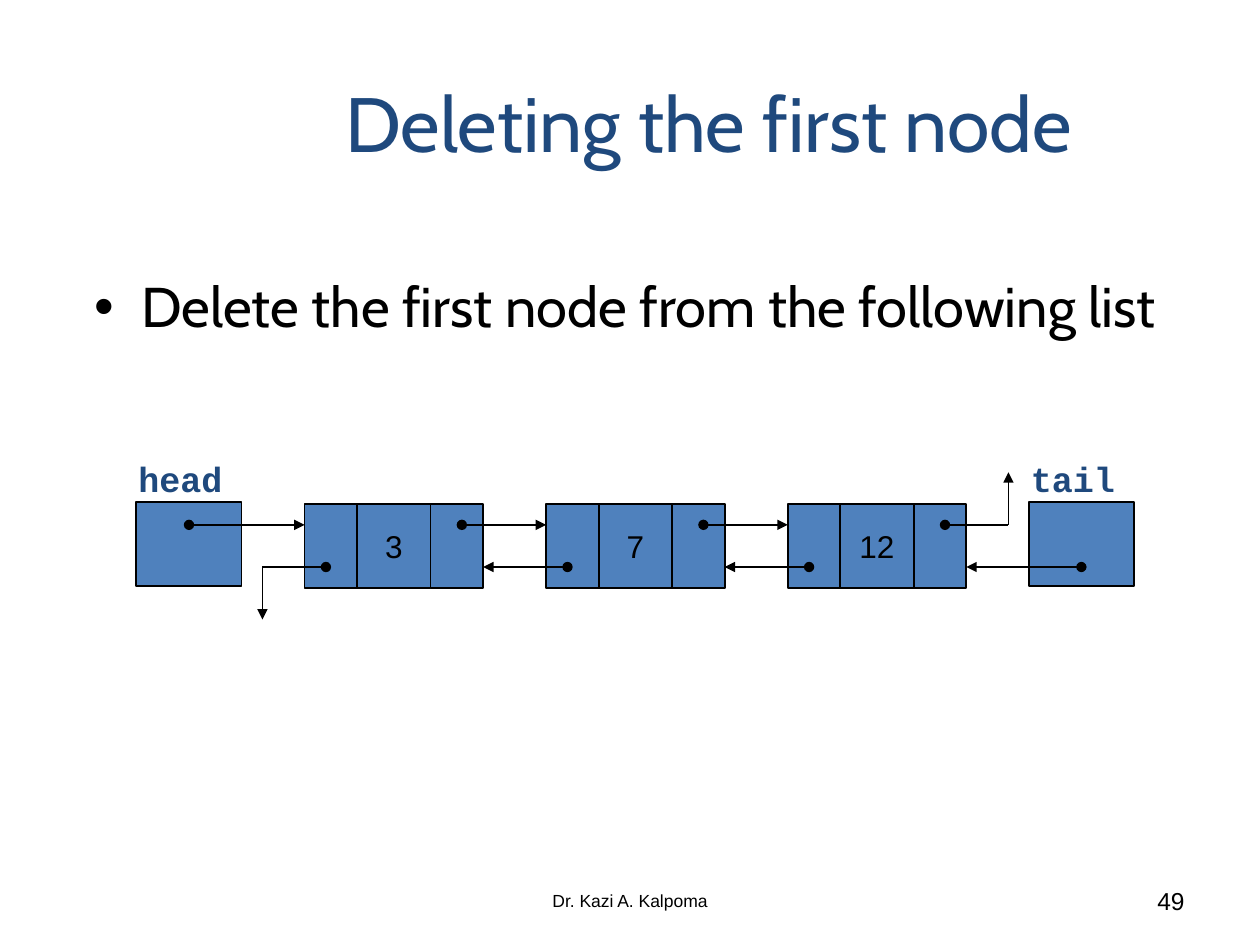
"""Slide showing a doubly linked list before its first node is deleted."""
from lxml.etree import SubElement
from pptx import Presentation
from pptx.dml.color import RGBColor
from pptx.enum.shapes import MSO_CONNECTOR, MSO_SHAPE
from pptx.enum.text import MSO_ANCHOR, PP_ALIGN
from pptx.oxml.ns import qn
from pptx.util import Cm, Pt

BLUE, NAVY, BLACK = "4F81BD", "1F497D", "000000"
ARIAL = {"name": "Arial"}
CABIN = {"name": "Cabin"}
COURIER = {"name": "Courier New", "bold": True, "size": Pt(20)}
MIDDLE = {"vertical_anchor": MSO_ANCHOR.MIDDLE}

TEXTS = [
    ("Deleting the first node", (5.08, 0.89, 18.42, 3.12), NAVY,
     {**CABIN, "size": Pt(44)}, PP_ALIGN.CENTER, MIDDLE),
    ("head", (2.54, 9.1, 2.96, 1.12), NAVY, COURIER, PP_ALIGN.LEFT, {}),
    ("tail", (20.53, 9.1, 2.96, 1.12), NAVY, COURIER, PP_ALIGN.LEFT, {}),
    ("Dr. Kazi A. Kalpoma", (8.68, 17.65, 8.04, 1.02), BLACK,
     {**ARIAL, "size": Pt(10)}, PP_ALIGN.CENTER, MIDDLE),
    ("49", (18.2, 17.65, 5.93, 1.02), BLACK,
     {**ARIAL, "size": Pt(14)}, PP_ALIGN.RIGHT, MIDDLE),
]
BULLET = ("Delete the first node from the following list", (1.9, 5.51, 22.66, 2.34))
NODES = ["3", "7", "12"]
CELLS = [1.06, 1.48, 1.06]
POINTERS = [2.75, 20.74]
POINTER_W, POINTER_TOP = 2.12, 10.12
NODE_LEFT, NODE_TOP, NODE_H = 6.14, 10.16, 1.69
NODE_W, GAP = sum(CELLS), 1.27
NEXT_Y, PREV_Y = 10.58, 11.43
DOT, STUB, DROP = 0.43, 0.85, 1.06


def rgb(value):
    return RGBColor.from_string(value)


def apply(obj, values):
    for name, value in values.items():
        setattr(obj, name, value)


def write(tf, text, color, font, align):
    p = tf.paragraphs[0]
    p.alignment = align
    r = p.add_run()
    r.text = text
    apply(r.font, font)
    r.font.color.rgb = rgb(color)
    return p


def add_text(s, text, box, color, font, align, frame):
    tf = s.shapes.add_textbox(*map(Cm, box)).text_frame
    apply(tf, {"word_wrap": True, **frame})
    return write(tf, text, color, font, align)


def add_bullet(s, text, box):
    p = add_text(s, text, box, BLACK, {**CABIN, "size": Pt(32)}, PP_ALIGN.LEFT,
                 {"margin_left": 0, "margin_right": 0})
    p.line_spacing = 0.9
    pPr = p._p.get_or_add_pPr()
    pPr.set("marL", str(Cm(0.95)))
    pPr.set("indent", str(Cm(-0.95)))
    SubElement(SubElement(pPr, qn("a:buClr")), qn("a:srgbClr"), val=BLACK)
    SubElement(pPr, qn("a:buFont"), typeface="Arial")
    SubElement(pPr, qn("a:buChar"), char="•")


def add_box(s, left, top, width, text=""):
    sp = s.shapes.add_shape(MSO_SHAPE.RECTANGLE, *map(Cm, (left, top, width, NODE_H)))
    sp.shadow.inherit = False
    sp.fill.solid()
    sp.fill.fore_color.rgb = rgb(BLUE)
    sp.line.color.rgb = rgb(BLACK)
    sp.line.width = Pt(1)
    if text:
        apply(sp.text_frame, {"word_wrap": False, **MIDDLE})
        write(sp.text_frame, text, BLACK, {**ARIAL, "size": Pt(18)}, PP_ALIGN.CENTER)


def add_link(s, start, end, dot=True, arrow=True):
    cxn = s.shapes.add_connector(MSO_CONNECTOR.STRAIGHT, *map(Cm, start + end))
    cxn.line.color.rgb = rgb(BLACK)
    cxn.line.width = Pt(1)
    ln = cxn.line._get_or_add_ln()
    if dot:
        SubElement(ln, qn("a:headEnd"), type="oval")
    if arrow:
        SubElement(ln, qn("a:tailEnd"), type="triangle")
    SubElement(cxn._element.spPr, qn("a:effectLst"))


def add_list(s):
    lefts = [NODE_LEFT + i * (NODE_W + GAP) for i in range(len(NODES))]
    rights = [left + NODE_W for left in lefts]
    for left in POINTERS:
        add_box(s, left, POINTER_TOP, POINTER_W)
    for left, value in zip(lefts, NODES):
        for i, width in enumerate(CELLS):
            add_box(s, left + sum(CELLS[:i]), NODE_TOP, width, value if i == 1 else "")

    head, tail = (left + POINTER_W / 2 for left in POINTERS)
    for start, end in zip([head] + [x - DOT for x in rights], lefts):
        add_link(s, (start, NEXT_Y), (end, NEXT_Y))
    for start, end in zip([x + DOT for x in lefts[1:]] + [tail], rights):
        add_link(s, (start, PREV_Y), (end, PREV_Y))

    first, last = lefts[0], rights[-1]
    for dot, bend, y, end_y in ((first + DOT, first - STUB, PREV_Y, PREV_Y + DROP),
                                (last - DOT, last + STUB, NEXT_Y, NEXT_Y - DROP)):
        add_link(s, (dot, y), (bend, y), arrow=False)
        add_link(s, (bend, y), (bend, end_y), dot=False)


def main():
    prs = Presentation()
    apply(prs, {"slide_width": Cm(25.4), "slide_height": Cm(19.05)})
    s = prs.slides.add_slide(prs.slide_layouts[6])
    add_list(s)
    for item in TEXTS:
        add_text(s, *item)
    add_bullet(s, *BULLET)
    prs.save("out.pptx")


if __name__ == "__main__":
    main()
